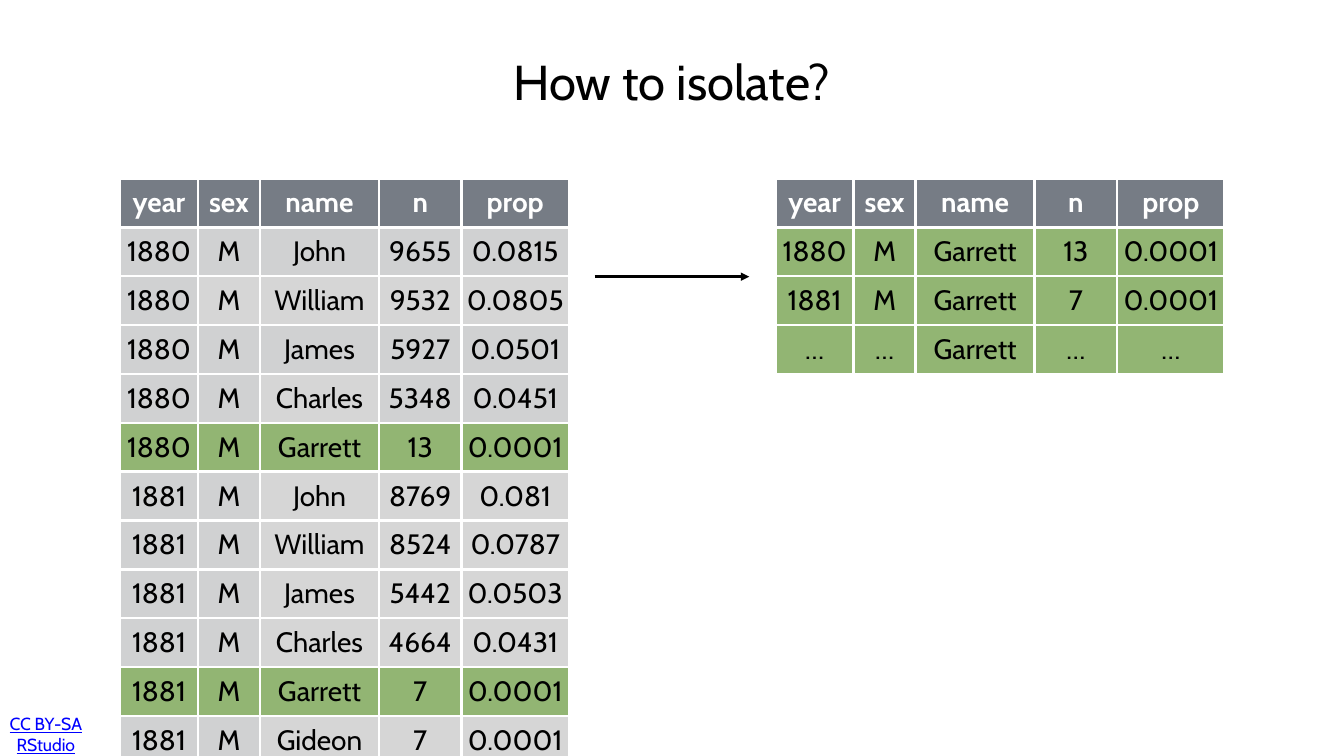
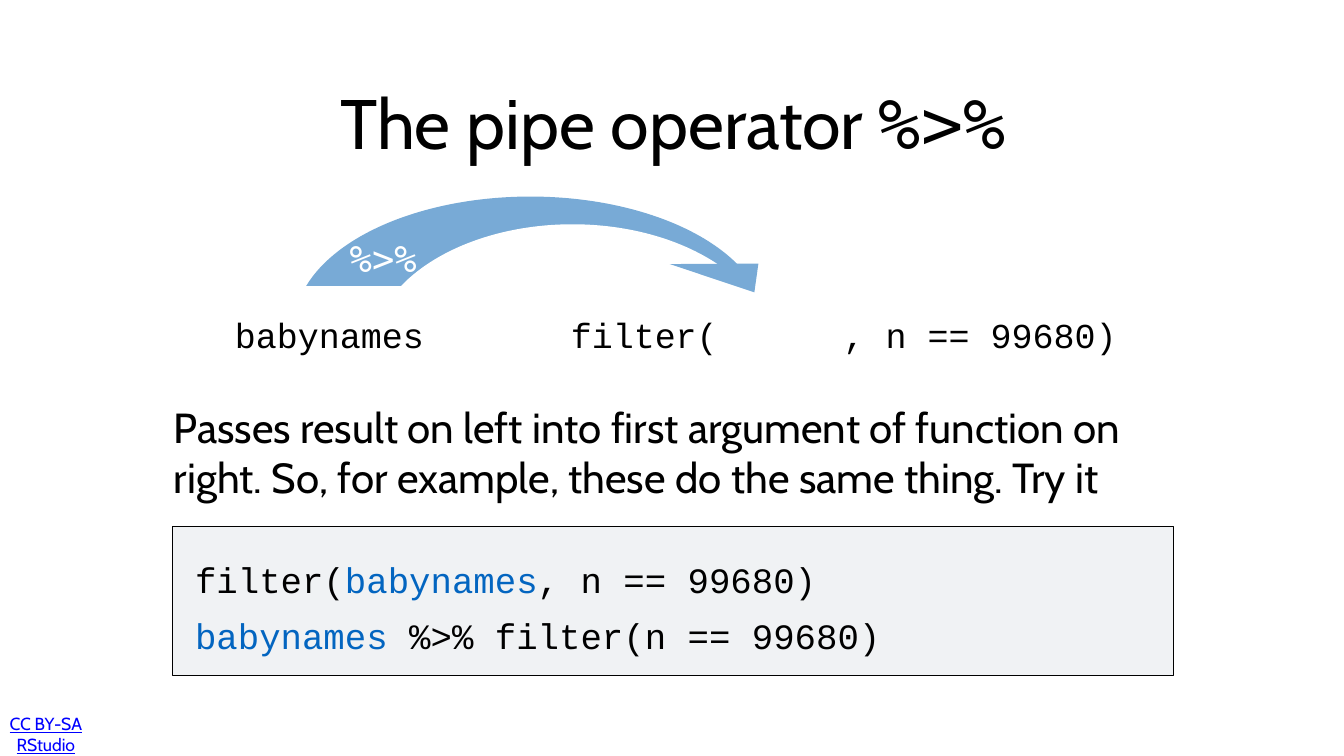
from dataclasses import dataclass

import lxml.etree
import pptx
import pptx.dml.color
import pptx.enum.shapes
import pptx.enum.text
import pptx.oxml.ns
import pptx.util

# Grid: 80 columns by 45 rows of square units
UNIT = pptx.util.Inches(1) / 3
COLUMNS, ROWS = 80.01, 45

COLORS = {
    "white": "FFFFFF",
    "black": "000000",
    "header": "767C85",
    "dark": "D0D1D2",
    "light": "D6D6D6",
    "match": "92B573",
    "link": "0000FF",
    "arc": "78AAD6",
    "panel": "F0F2F4",
    "argument": "0365C0",
}
SHADES = {"H": "header", "D": "dark", "L": "light", "G": "match"}
BODY, CODE, SYMBOL = "Cabin", "Courier New", "DejaVu Sans Mono"
CENTER = pptx.enum.text.PP_ALIGN.CENTER
LEFT = pptx.enum.text.PP_ALIGN.LEFT
MIDDLE = pptx.enum.text.MSO_ANCHOR.MIDDLE
OVAL = pptx.enum.shapes.MSO_SHAPE.OVAL
RECTANGLE = pptx.enum.shapes.MSO_SHAPE.RECTANGLE


@dataclass(frozen=True)
class Box:
    left: float
    top: float
    width: float
    height: float

    def lengths(self) -> list[int]:
        return [grid(value) for value in (self.left, self.top, self.width, self.height)]


@dataclass(frozen=True)
class Run:
    text: str
    size: float
    font: str = BODY
    color: str = "black"
    bold: bool = False
    underline: bool = False


@dataclass(frozen=True)
class TableRow:
    values: str
    shades: str = "DDLLL"


@dataclass(frozen=True)
class Block:
    box: Box
    kind: pptx.enum.shapes.MSO_SHAPE
    fill: str
    line: str | None = None


def grid(units: float) -> int:
    return round(units * UNIT)


def rgb(name: str) -> pptx.dml.color.RGBColor:
    return pptx.dml.color.RGBColor.from_string(COLORS[name])


def add_element(parent, tag: str, **attributes: str):
    return lxml.etree.SubElement(parent, pptx.oxml.ns.qn(tag), **attributes)


# Text
def write_runs(paragraph, runs: list[Run]) -> None:
    for item in runs:
        run = paragraph.add_run()
        run.text = item.text
        formats = {
            "name": item.font,
            "size": pptx.util.Pt(item.size),
            "bold": item.bold,
            "underline": item.underline,
        }
        for name, value in formats.items():
            setattr(run.font, name, value)
        run.font.color.rgb = rgb(item.color)


def add_text(slide, box: Box, lines: list[list[Run]], align=LEFT, inset: float = 0.24,
             spacing: float = 1.0, tabs: tuple[float, ...] = ()):
    text_box = slide.shapes.add_textbox(*box.lengths())
    frame = text_box.text_frame
    formats = {"word_wrap": True, "vertical_anchor": MIDDLE}
    for side in ("left", "top", "right", "bottom"):
        formats[f"margin_{side}"] = grid(inset)
    for name, value in formats.items():
        setattr(frame, name, value)
    for index, runs in enumerate(lines):
        paragraph = frame.add_paragraph() if index else frame.paragraphs[0]
        paragraph.alignment = align
        paragraph.line_spacing = spacing
        if tabs:
            tab_list = add_element(paragraph._p.get_or_add_pPr(), "a:tabLst")
            for position in tabs:
                add_element(tab_list, "a:tab", pos=str(grid(position)), algn="l")
        write_runs(paragraph, runs)
    return text_box


def add_title(slide, left: float, top: float, runs: list[Run]) -> None:
    add_text(slide, Box(left, top, 53.7, 7.86), [runs], CENTER, 0.18)


def add_footer(slide) -> None:
    credit = Run("CC BY-SA RStudio", 25, color="link", underline=True)
    add_text(slide, Box(0.33, 42.48, 4.8, 2.4), [[credit]], CENTER, 0.12)


# Shapes
def paint(shape, fill: str, line: str | None = None) -> None:
    shape.shadow.inherit = False
    shape.fill.solid()
    shape.fill.fore_color.rgb = rgb(fill)
    if line:
        shape.line.color.rgb = rgb(line)
        shape.line.width = pptx.util.Pt(1)
    else:
        shape.line.fill.background()


def add_block(slide, block: Block) -> None:
    shape = slide.shapes.add_shape(block.kind, *block.box.lengths())
    paint(shape, block.fill, block.line)


def add_arrow(slide, start: float, end: float, top: float) -> None:
    arrow = slide.shapes.add_connector(
        pptx.enum.shapes.MSO_CONNECTOR.STRAIGHT,
        grid(start), grid(top), grid(end), grid(top))
    arrow.line.color.rgb = rgb("black")
    arrow.line.width = pptx.util.Pt(4)
    add_element(arrow.line._get_or_add_ln(), "a:tailEnd", type="triangle")
    add_element(arrow._element.spPr, "a:effectLst")


# Tables
COLUMN_WIDTHS = (4.65, 3.69, 7.08, 4.92, 6.39)
ROW_HEIGHT = 2.91
HEADER = TableRow("year sex name n prop", "HHHHH")


def style_cell(cell, text: str, shade: str) -> None:
    properties = cell._tc.get_or_add_tcPr()
    for side in "LRTB":
        border = add_element(properties, f"a:ln{side}", w=str(pptx.util.Pt(4)))
        fill = add_element(border, "a:solidFill")
        add_element(fill, "a:srgbClr", val=COLORS["white"])
    cell.fill.solid()
    cell.fill.fore_color.rgb = rgb(SHADES[shade])
    cell.vertical_anchor = MIDDLE
    for side in ("left", "top", "right", "bottom"):
        setattr(cell, f"margin_{side}", grid(0.18))
    paragraph = cell.text_frame.paragraphs[0]
    paragraph.alignment = CENTER
    is_header = shade == "H"
    color = "white" if is_header else "black"
    write_runs(paragraph, [Run(text, 40, color=color, bold=is_header)])


def add_names_table(slide, left: float, top: float, body: list[TableRow]) -> None:
    rows = [HEADER, *body]
    box = Box(left, top, sum(COLUMN_WIDTHS), ROW_HEIGHT * len(rows))
    table = slide.shapes.add_table(
        len(rows), len(COLUMN_WIDTHS), *box.lengths()).table
    table.first_row = table.horz_banding = False
    for column, width in zip(table.columns, COLUMN_WIDTHS):
        column.width = grid(width)
    for row_index, row in enumerate(rows):
        table.rows[row_index].height = grid(ROW_HEIGHT)
        for index, (text, shade) in enumerate(zip(row.values.split(), row.shades)):
            style_cell(table.cell(row_index, index), text, shade)


ALL_NAMES = [
    TableRow("1880 M John 9655 0.0815", "DDDDD"),
    TableRow("1880 M William 9532 0.0805", "DLLLL"),
    TableRow("1880 M James 5927 0.0501", "DDDDD"),
    TableRow("1880 M Charles 5348 0.0451", "DDLDD"),
    TableRow("1880 M Garrett 13 0.0001", "GGGGG"),
    TableRow("1881 M John 8769 0.081"),
    TableRow("1881 M William 8524 0.0787"),
    TableRow("1881 M James 5442 0.0503"),
    TableRow("1881 M Charles 4664 0.0431"),
    TableRow("1881 M Garrett 7 0.0001", "GGGGG"),
    TableRow("1881 M Gideon 7 0.0001"),
]
MATCHES = [row for row in ALL_NAMES if row.shades == "GGGGG"]
MATCHES.append(TableRow("… … Garrett … …", "GGGGG"))


def build_isolate_slide(slide) -> None:
    add_names_table(slide, 7.14, 10.62, ALL_NAMES)
    add_footer(slide)
    add_title(slide, 13.14, 0.9, [Run("How to isolate?", 70)])
    add_names_table(slide, 46.17, 10.62, MATCHES)
    add_arrow(slide, 35.4, 44.61, 16.47)


# Pipe operator: two ellipses and a mask leave the arc
ARC_BLOCKS = [
    Block(Box(17.52, 11.7, 28.11, 15.51), OVAL, "arc"),
    Block(Box(22.08, 13.35, 24, 15.51), OVAL, "white"),
    Block(Box(15.06, 17.04, 34.41, 9.78), RECTANGLE, "white"),
]
ARROWHEAD = [(39.87, 15.72), (45.15, 15.69), (44.91, 17.4)]
CODE_PANEL = Block(Box(10.26, 31.32, 59.58, 8.91), RECTANGLE, "panel", "black")
CHARACTER = 1.25  # width of one code character at 50 points


def build_pipe_slide(slide) -> None:
    add_footer(slide)

    # Arc with its arrowhead
    for block in ARC_BLOCKS:
        add_block(slide, block)
    start, *others = [(grid(x), grid(y)) for x, y in ARROWHEAD]
    builder = slide.shapes.build_freeform(*start)
    builder.add_line_segments(others, close=True)
    paint(builder.convert_to_shape(), "arc")
    add_text(slide, Box(20.58, 13.71, 6.45, 3.21), [[Run("%>%", 53, SYMBOL, "white")]])

    # Call with an underlined gap for the missing argument
    call = [
        Run("babynames\tfilter(", 50, CODE),
        Run("\t", 50, CODE, underline=True),
        Run(", n == 99680)", 50, CODE),
    ]
    add_text(slide, Box(13.74, 18.36, 60, 3.09), [call],
             tabs=(16 * CHARACTER, 29 * CHARACTER))
    add_title(slide, 13.2, 3.3, [
        Run("The pipe operator ", 100), Run("%>%", 100, SYMBOL)])

    # Equivalent code
    add_block(slide, CODE_PANEL)
    argument = Run("babynames", 51, CODE, "argument")
    add_text(slide, Box(11.37, 32.28, 56.49, 6.96), [
        [Run("filter(", 51, CODE), argument, Run(", n == 99680)", 51, CODE)],
        [argument, Run(" %>% filter(n == 99680)", 51, CODE)],
    ], spacing=1.3)
    add_text(slide, Box(10.17, 22.74, 59.58, 8.28), [[Run(
        "Passes result on left into first argument of function on right. "
        "So, for example, these do the same thing. Try it", 60)]], inset=0.18)


def main() -> None:
    presentation = pptx.Presentation()
    presentation.slide_width = grid(COLUMNS)
    presentation.slide_height = grid(ROWS)
    blank = presentation.slide_layouts[6]
    for build in (build_isolate_slide, build_pipe_slide):
        build(presentation.slides.add_slide(blank))
    presentation.save("out.pptx")


if __name__ == "__main__":
    main()
